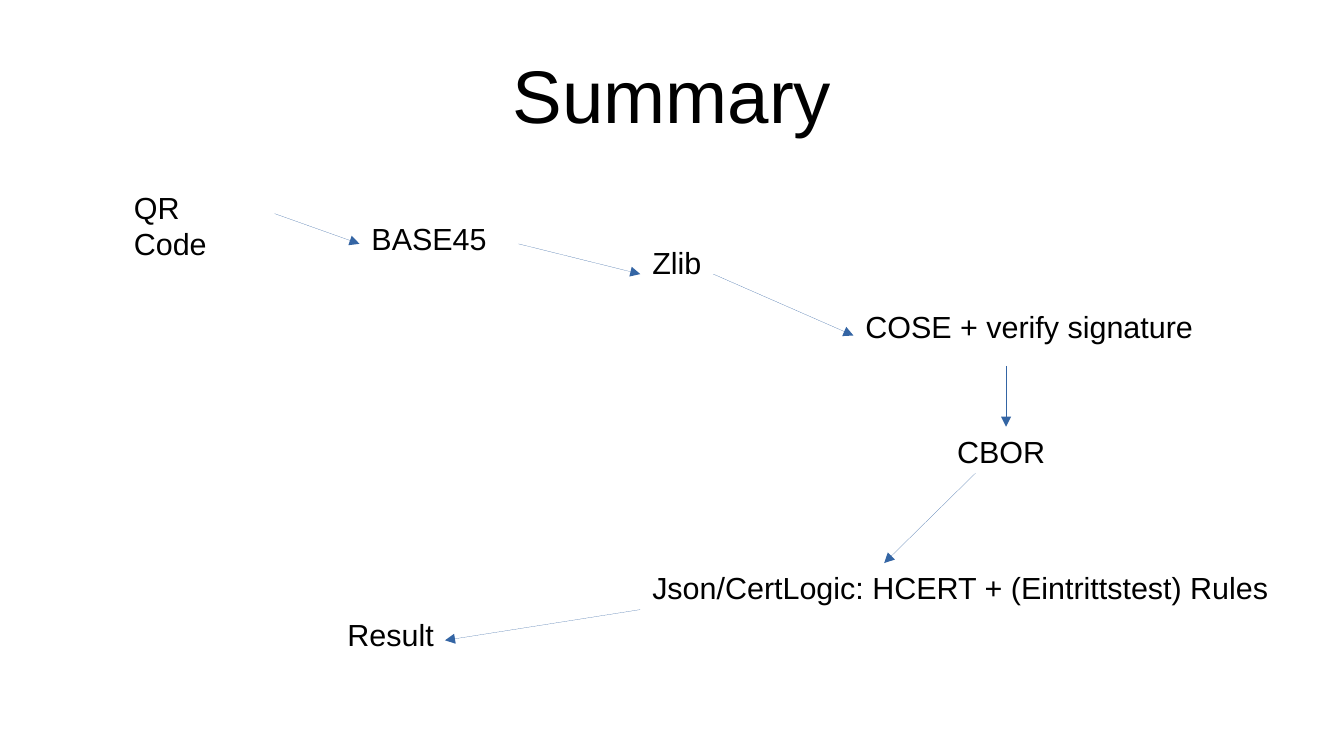
from dataclasses import dataclass

import pptx
import pptx.dml.color
import pptx.enum.shapes
import pptx.enum.text
import pptx.oxml.ns
import pptx.util
from lxml import etree

Cm = pptx.util.Cm
Pt = pptx.util.Pt
RGBColor = pptx.dml.color.RGBColor
Align = pptx.enum.text.PP_ALIGN
Anchor = pptx.enum.text.MSO_ANCHOR


@dataclass(frozen=True)
class Theme:
    font: str = "Arial"
    text: RGBColor = RGBColor(0x00, 0x00, 0x00)
    arrow: RGBColor = RGBColor(0x34, 0x65, 0xA4)
    background: RGBColor = RGBColor(0xFF, 0xFF, 0xFF)
    title_size: int = 44
    step_size: int = 18


@dataclass(frozen=True)
class Box:
    """An area of the slide, in centimetres."""
    left: float
    top: float
    width: float
    height: float

    def inner(self, left, top, width, height):
        return Box(self.left + left, self.top + top, width, height)


THEME = Theme()
STEP_HEIGHT = 0.97

# Text, then left, top, width and height within the flow area
STEPS = [
    ("QR Code", 0, 0, 3.13, 1.68),
    ("BASE45", 4.95, 0.64, 2.95, STEP_HEIGHT),
    ("Zlib", 10.8, 1.14, 1.6, STEP_HEIGHT),
    ("COSE + verify signature", 15.24, 2.49, 7.4, STEP_HEIGHT),
    ("CBOR", 17.15, 5.08, 2.4, STEP_HEIGHT),
    ("Json/CertLogic: HCERT + (Eintrittstest) Rules", 10.8, 7.92, 13.4, STEP_HEIGHT),
    ("Result", 4.45, 8.89, 2.36, STEP_HEIGHT),
]

# Start and end of the arrow that leaves each step but the last
ARROWS = [
    ((3.18, 0.64), (4.95, 1.27)),
    ((8.26, 1.27), (10.8, 1.9)),
    ((12.32, 1.9), (15.24, 3.18)),
    ((18.42, 3.81), (18.42, 5.08)),
    ((17.78, 6.05), (15.88, 7.92)),
    ((10.8, 8.89), (6.73, 9.53)),
]


def add_text(slide, box, text, *, size, align=Align.LEFT, anchor=Anchor.TOP,
             margin=None):
    """Add wrapped text; without a margin the default insets apply."""
    shape = slide.shapes.add_textbox(
        Cm(box.left), Cm(box.top), Cm(box.width), Cm(box.height))
    frame = shape.text_frame
    frame.word_wrap = True
    frame.vertical_anchor = anchor
    if margin is not None:
        frame.margin_left = frame.margin_right = Cm(margin)
        frame.margin_top = frame.margin_bottom = Cm(margin)
    paragraph = frame.paragraphs[0]
    paragraph.alignment = align
    run = paragraph.add_run()
    run.text = text
    run.font.name = THEME.font
    run.font.size = Pt(size)
    run.font.color.rgb = THEME.text
    return shape


def add_arrow(slide, box, start, end):
    connector = slide.shapes.add_connector(
        pptx.enum.shapes.MSO_CONNECTOR.STRAIGHT,
        Cm(box.left + start[0]), Cm(box.top + start[1]),
        Cm(box.left + end[0]), Cm(box.top + end[1]))
    connector.line.color.rgb = THEME.arrow
    qualified = pptx.oxml.ns.qn
    properties = connector.element.spPr
    line = properties.find(qualified("a:ln"))
    # The width property drops a zero, so the hairline is set on the element
    line.set("w", "0")
    etree.SubElement(line, qualified("a:tailEnd"), type="triangle")
    etree.SubElement(properties, qualified("a:effectLst"))


def add_title(slide, box):
    add_text(slide, box, "Summary", size=THEME.title_size, align=Align.CENTER,
             anchor=Anchor.MIDDLE, margin=0)


def add_flow(slide, box):
    """Place the decoding steps and the arrows between them."""
    for text, *place in STEPS:
        add_text(slide, box.inner(*place), text, size=THEME.step_size)
    for start, end in ARROWS:
        add_arrow(slide, box, start, end)


def main():
    presentation = pptx.Presentation()
    presentation.slide_width = Cm(28)
    presentation.slide_height = Cm(15.75)
    slide = presentation.slides.add_slide(presentation.slide_layouts[6])
    slide.background.fill.solid()
    slide.background.fill.fore_color.rgb = THEME.background
    add_title(slide, Box(1.4, 0.63, 25.2, 2.63))
    add_flow(slide, Box(2.54, 3.81, 24.2, 9.86))
    presentation.save("out.pptx")


if __name__ == "__main__":
    main()
